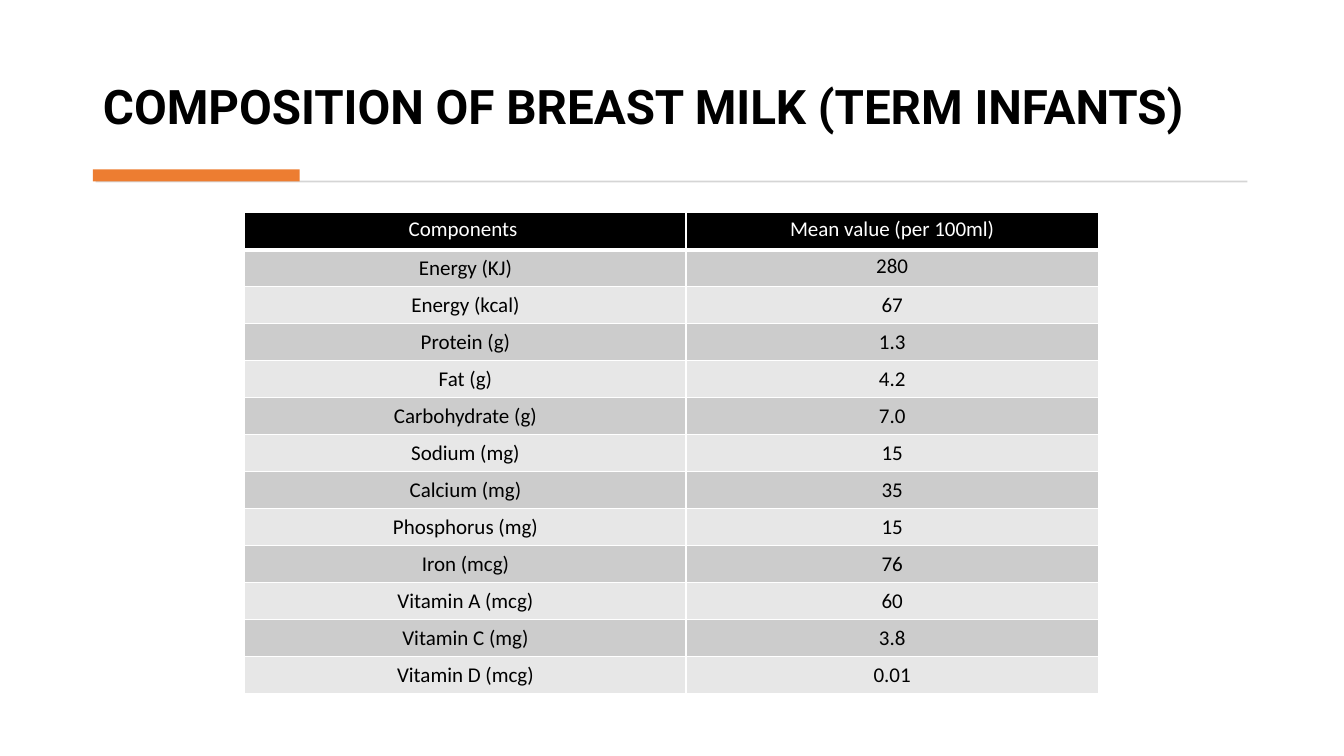
from typing import NamedTuple

from lxml import etree
from pptx import Presentation
from pptx.dml.color import RGBColor
from pptx.enum.shapes import MSO_SHAPE
from pptx.enum.text import MSO_ANCHOR, MSO_AUTO_SIZE, PP_ALIGN
from pptx.oxml.ns import qn
from pptx.util import Cm, Pt

RECT = MSO_SHAPE.RECTANGLE
TOP, MIDDLE, BOTTOM = MSO_ANCHOR.TOP, MSO_ANCHOR.MIDDLE, MSO_ANCHOR.BOTTOM
LEFT, CENTER = PP_ALIGN.LEFT, PP_ALIGN.CENTER
NO_FIT = MSO_AUTO_SIZE.NONE
BLACK, WHITE, DARK, LIGHT = "000000", "FFFFFF", "CCCCCC", "E7E7E7"


class Bar(NamedTuple):
    left: float
    top: float
    width: float
    height: float
    color: str


class Entry(NamedTuple):
    name: str
    value: str


BARS = [
    Bar(2.41, 4.55, 29.03, 0.05, "D5D5D5"),
    Bar(2.34, 4.27, 5.21, 0.3, "ED7D31"),
]
ENTRIES = [
    Entry("Components ", "Mean value (per 100ml)"),
    Entry("Energy (KJ)", "280"),
    Entry("Energy (kcal)", "67"),
    Entry("Protein (g)", "1.3"),
    Entry("Fat (g)", "4.2"),
    Entry("Carbohydrate (g)", "7.0"),
    Entry("Sodium (mg)", "15"),
    Entry("Calcium (mg)", "35"),
    Entry("Phosphorus (mg)", "15"),
    Entry("Iron (mcg)", "76"),
    Entry("Vitamin A (mcg)", "60"),
    Entry("Vitamin C (mg)", "3.8"),
    Entry("Vitamin D (mcg)", "0.01"),
]
COLUMNS = [11.12, 10.39]


def paint(target, color: str) -> None:
    """Give a fill a solid colour."""
    target.solid()
    target.fore_color.rgb = RGBColor.from_string(color)


def style(par, font: str, size: float, color: str, bold: bool = False) -> None:
    for run in par.runs:
        run.font.name = font
        run.font.size = Pt(size)
        run.font.bold = bold
        paint(run.font.fill, color)


def draw_title(slide, text: str) -> None:
    title = slide.shapes.title
    title.left, title.top = Cm(2.34), Cm(0.71)
    title.width, title.height = Cm(29.18), Cm(2.82)
    frame = title.text_frame
    frame.text = text
    frame.auto_size = NO_FIT
    frame.vertical_anchor = BOTTOM
    par = frame.paragraphs[0]
    par.alignment = LEFT
    par.line_spacing = 0.9
    style(par, "Roboto", 34, BLACK, True)


def draw_bar(slide, bar: Bar) -> None:
    shape = slide.shapes.add_shape(RECT, *(Cm(n) for n in bar[:4]))
    shape.shadow.inherit = False
    paint(shape.fill, bar.color)
    shape.line.fill.background()


def add_edges(cell, base: float) -> None:
    """Add white borders, with their own width at the base."""
    props = cell._tc.get_or_add_tcPr()
    for side, width in zip("LRTB", (1, 1, 1, base)):
        line = etree.SubElement(props, qn(f"a:ln{side}"), w=str(Pt(width)))
        fill = etree.SubElement(line, qn("a:solidFill"))
        etree.SubElement(fill, qn("a:srgbClr"), val=WHITE)


def draw_cell(cell, text: str, row: int, col: int) -> None:
    head = row == 0
    add_edges(cell, 3 if head else 1)
    paint(cell.fill, BLACK if head else DARK if row % 2 else LIGHT)
    cell.margin_left = cell.margin_right = Cm(0.2)
    cell.margin_top = cell.margin_bottom = Cm(0.1)
    cell.vertical_anchor = TOP if head or (row, col) == (1, 1) else MIDDLE
    cell.text_frame.text = text
    par = cell.text_frame.paragraphs[0]
    par.alignment = CENTER
    style(par, "Calibri", 15, WHITE if head else BLACK)


def draw_table(slide, entries: list[Entry]) -> None:
    frame = slide.shapes.add_table(
        len(entries), len(COLUMNS),
        Cm(6.17), Cm(5.36), Cm(sum(COLUMNS)), Cm(12.12))
    table = frame.table
    for column, width in zip(table.columns, COLUMNS):
        column.width = Cm(width)
    for row, entry in enumerate(entries):
        for col, text in enumerate(entry):
            draw_cell(table.cell(row, col), text, row, col)


def main() -> None:
    deck = Presentation()
    deck.slide_width, deck.slide_height = Cm(33.87), Cm(19.05)
    slide = deck.slides.add_slide(deck.slide_layouts[5])

    # Heading and its rule
    draw_title(slide, "COMPOSITION OF BREAST MILK (TERM INFANTS)")
    for bar in BARS:
        draw_bar(slide, bar)

    # Milk components
    draw_table(slide, ENTRIES)
    deck.save("out.pptx")


if __name__ == "__main__":
    main()
